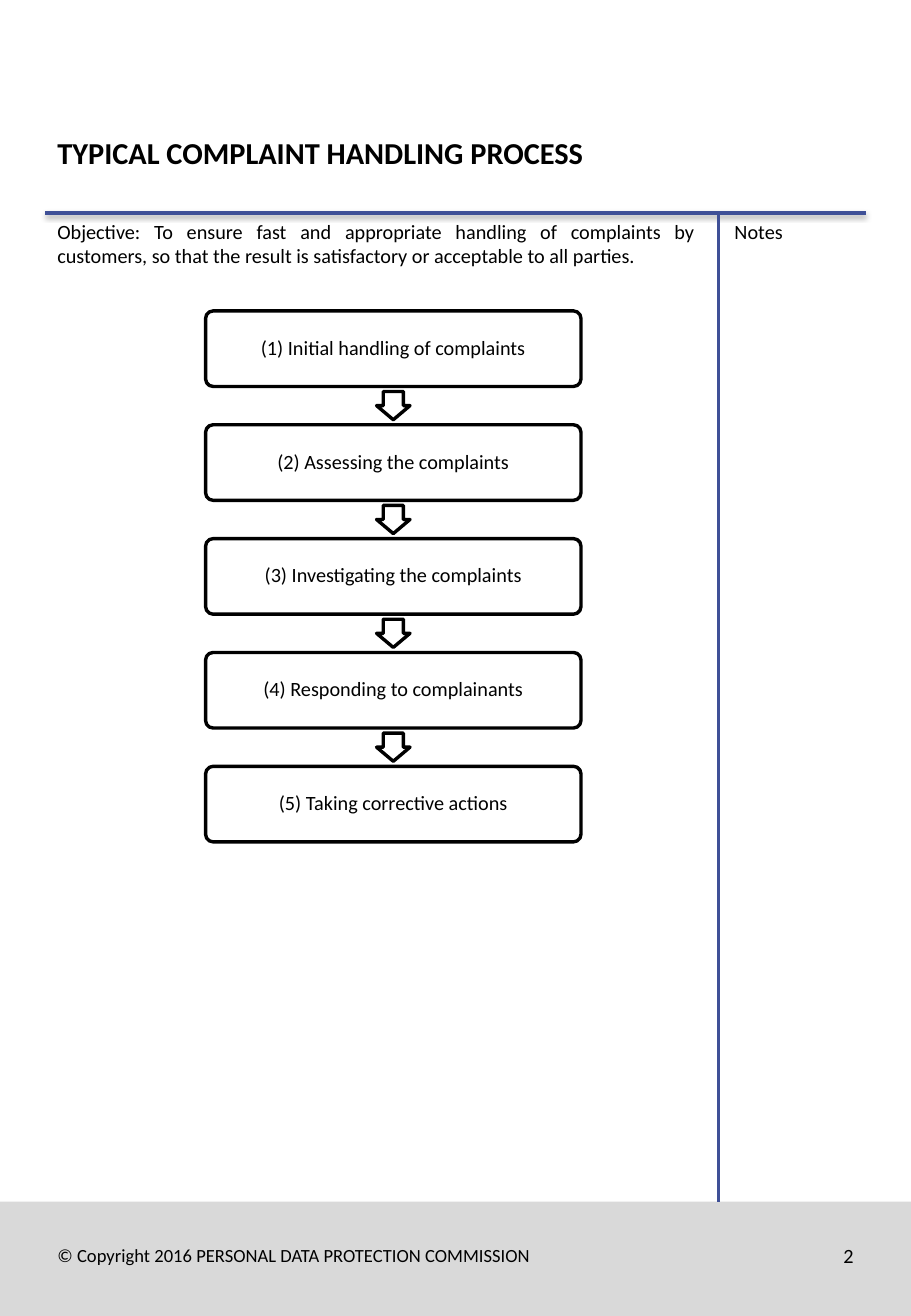
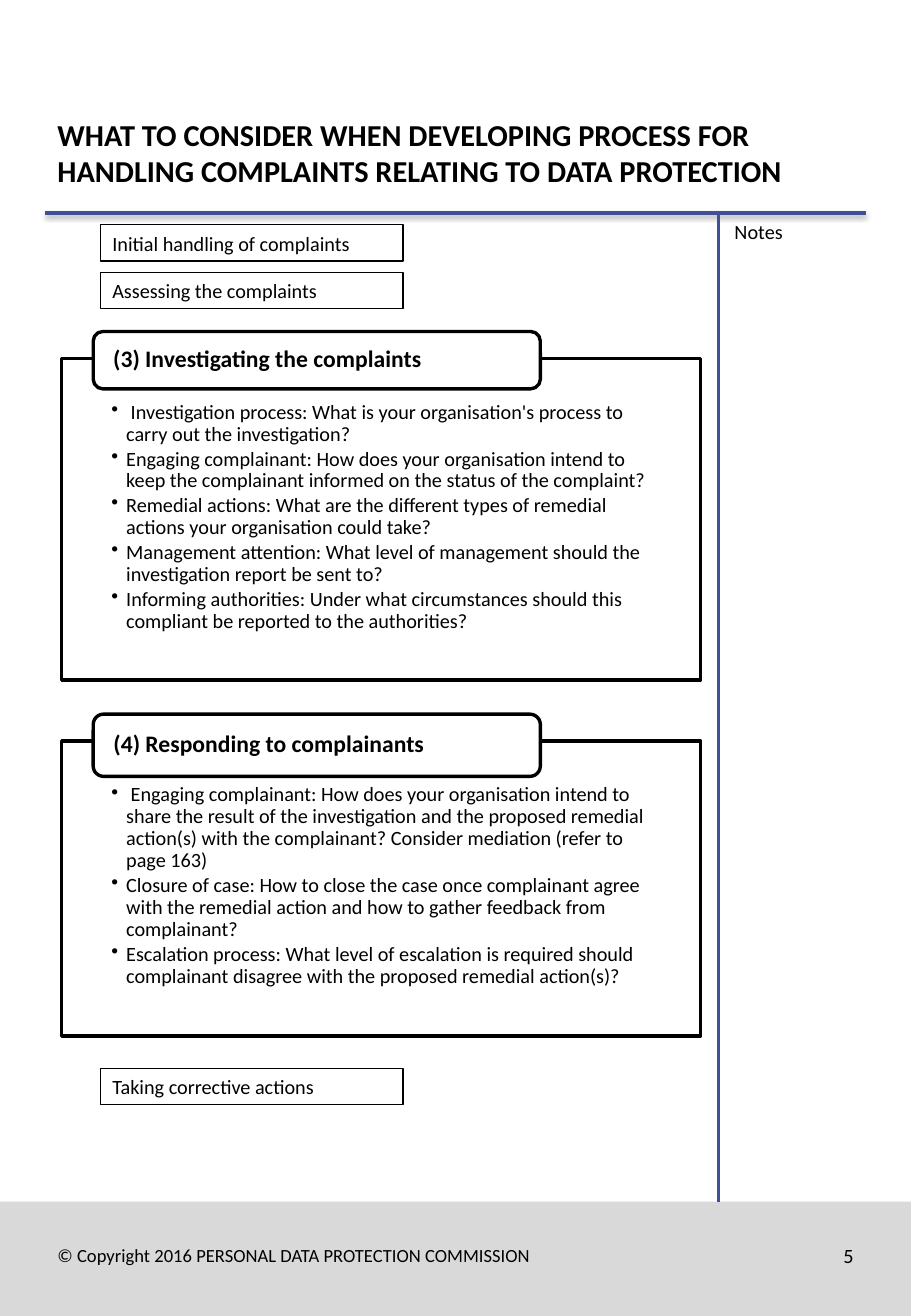
from dataclasses import dataclass

import lxml.etree
import pptx
import pptx.dml.color
import pptx.enum.shapes
import pptx.enum.text
import pptx.oxml.ns
import pptx.util

Cm, Pt = pptx.util.Cm, pptx.util.Pt
Align = pptx.enum.text.PP_ALIGN
Anchor = pptx.enum.text.MSO_ANCHOR
Preset = pptx.enum.shapes.MSO_SHAPE
qn = pptx.oxml.ns.qn


@dataclass(frozen=True)
class Theme:
    font: str = "Calibri"
    ink: str = "000000"
    paper: str = "FFFFFF"
    band: str = "D9D9D9"
    rule: str = "3F5097"
    title: float = 18
    heading: float = 14
    body: float = 12
    footer: float = 11
    thick: float = 2
    thin: float = 0.75


@dataclass(frozen=True)
class Box:
    """A region in centimetres."""
    left: float
    top: float
    width: float
    height: float

    def lengths(self):
        return [Cm(v) for v in (self.left, self.top, self.width, self.height)]


THEME = Theme()
PAGE = Box(0, 0, 19.05, 27.51)
MARGIN = 0.95
CONTENT_WIDTH = PAGE.width - 2 * MARGIN
RULE_TOP = 4.45
NOTES_LEFT = 15.03
BAND = Box(0, 25.12, PAGE.width, PAGE.height - 25.12)
STANDARD_INSETS = (0.25, 0.13, 0.25, 0.13)

STEPS = [
    "Initial handling of complaints",
    "Assessing the complaints",
    "Investigating the complaints",
    "Responding to complainants",
    "Taking corrective actions",
]
INVESTIGATING = [
    " Investigation process: What is your organisation's process to carry out the investigation?",
    "Engaging complainant: How does your organisation intend to keep the complainant informed "
    "on the status of the complaint?",
    "Remedial actions: What are the different types of remedial actions your organisation could take?",
    "Management attention: What level of management should the investigation report be sent to?",
    "Informing authorities: Under what circumstances should this compliant be reported to the authorities?",
]
RESPONDING = [
    " Engaging complainant: How does your organisation intend to share the result of the investigation "
    "and the proposed remedial action(s) with the complainant? Consider mediation (refer to page 163)",
    "Closure of case: How to close the case once complainant agree with the remedial action "
    "and how to gather feedback from complainant?",
    "Escalation process: What level of escalation is required should complainant disagree "
    "with the proposed remedial action(s)?",
]


def rgb(color):
    return pptx.dml.color.RGBColor.from_string(color)


def write(holder, lines, size=THEME.body, bold=False, align=Align.LEFT, anchor=Anchor.MIDDLE,
          insets=STANDARD_INSETS, wrap=True, spacing=None):
    """Fill a text holder with one paragraph a line and return the paragraphs."""
    frame = holder.text_frame
    frame.text = "\n".join(lines)
    frame.auto_size = pptx.enum.text.MSO_AUTO_SIZE.NONE
    frame.word_wrap = wrap
    frame.vertical_anchor = anchor
    (frame.margin_left, frame.margin_top,
     frame.margin_right, frame.margin_bottom) = [Cm(v) for v in insets]
    for paragraph in frame.paragraphs:
        paragraph.alignment = align
        paragraph.line_spacing = spacing
        font = paragraph.font
        font.name, font.size, font.bold = THEME.font, Pt(size), bold
        font.color.rgb = rgb(THEME.ink)
    return frame.paragraphs


def add_text(slide, box, line, **style):
    write(slide.shapes.add_textbox(*box.lengths()), [line], **style)


def add_outlined(slide, preset, box, weight=THEME.thick, fill=THEME.paper):
    shape = slide.shapes.add_shape(preset, *box.lengths())
    shape.shadow.inherit = False
    shape.fill.solid()
    shape.fill.fore_color.rgb = rgb(fill)
    if weight:
        shape.line.color.rgb = rgb(THEME.ink)
        shape.line.width = Pt(weight)
    else:
        shape.line.fill.background()
    return shape


def add_rule(slide, start, end, shadow=False):
    rule = slide.shapes.add_connector(
        pptx.enum.shapes.MSO_CONNECTOR.STRAIGHT, *[Cm(v) for v in start + end])
    rule.line.color.rgb = rgb(THEME.rule)
    rule.line.width = Pt(THEME.thick)
    effects = lxml.etree.SubElement(rule._element.spPr, qn("a:effectLst"))
    if shadow:
        cast = lxml.etree.SubElement(effects, qn("a:outerShdw"), blurRad="40000", dist="20000",
                                     dir="5400000", rotWithShape="0")
        tint = lxml.etree.SubElement(cast, qn("a:srgbClr"), val=THEME.ink)
        lxml.etree.SubElement(tint, qn("a:alpha"), val="38000")


def add_bullet(paragraph, indent):
    properties = paragraph._p.get_or_add_pPr()
    properties.set("marL", str(Cm(indent)))
    properties.set("indent", str(-Cm(indent)))
    bullet = lxml.etree.Element(qn("a:buChar"), char="•")
    properties.insert_element_before(bullet, "a:tabLst", "a:defRPr", "a:extLst")


def add_page(deck, title, number):
    """Title, rules, notes column and footer band that every slide has."""
    slide = deck.slides.add_slide(deck.slide_layouts[5])
    heading = slide.shapes.title
    heading.left, heading.top, heading.width, heading.height = Box(
        MARGIN, 2.29, CONTENT_WIDTH, 1.8).lengths()
    write(heading, [title], size=THEME.title, bold=True)

    # Footer band
    add_outlined(slide, Preset.RECTANGLE, BAND, weight=0, fill=THEME.band)
    footer = Box(MARGIN, BAND.top + 0.38, CONTENT_WIDTH, 1.47)
    add_text(slide, Box(footer.left, footer.top, 12, footer.height),
             "© Copyright 2016 PERSONAL DATA PROTECTION COMMISSION", size=THEME.footer)
    number_width = 4.45
    add_text(slide, Box(footer.left + footer.width - number_width, footer.top,
                        number_width, footer.height), str(number), align=Align.RIGHT)

    # Rules and notes column
    add_rule(slide, (MARGIN, RULE_TOP), (MARGIN + CONTENT_WIDTH, RULE_TOP), shadow=True)
    add_rule(slide, (NOTES_LEFT, BAND.top), (NOTES_LEFT, RULE_TOP))
    add_text(slide, Box(NOTES_LEFT + 0.08, RULE_TOP, 1.55, 0.76), "Notes",
             anchor=Anchor.TOP, wrap=False)
    return slide


def add_flow(slide, box, steps):
    """Equal step boxes down the region, with a block arrow in each gap."""
    gap, arrow_width, arrow_height = 0.8, 0.7, 0.59
    step_height = (box.height - gap * (len(steps) - 1)) / len(steps)
    for index, step in enumerate(steps):
        top = box.top + index * (step_height + gap)
        card = add_outlined(slide, Preset.ROUNDED_RECTANGLE,
                            Box(box.left, top, box.width, step_height))
        card.adjustments[0] = 0.1
        write(card, [f"({index + 1}) {step}"], align=Align.CENTER, spacing=0.9)
        if index:
            arrow = add_outlined(slide, Preset.DOWN_ARROW, Box(
                box.left + (box.width - arrow_width) / 2,
                top - (gap + arrow_height) / 2, arrow_width, arrow_height))
            arrow.adjustments[0], arrow.adjustments[1] = 0.6, 0.5


def add_tag(slide, box, step):
    tag = add_outlined(slide, Preset.RECTANGLE, box, weight=THEME.thin)
    write(tag, [step])


def add_panel(slide, box, heading, points, heading_height):
    """Framed bullet list with its heading set over the top edge."""
    frame = add_outlined(slide, Preset.RECTANGLE, box)
    for paragraph in write(frame, points, anchor=Anchor.TOP,
                           insets=(1.04, 0.91, 1.04, 0.23), spacing=0.9):
        paragraph.space_after = Pt(1.8)
        add_bullet(paragraph, 0.31)
    label = add_outlined(slide, Preset.ROUNDED_RECTANGLE, Box(
        box.left + 0.66, box.top - 0.56, 9.35, heading_height))
    write(label, [heading], size=THEME.heading, bold=True,
          insets=(0.36, 0, 0.36, 0), spacing=0.9)


def build_process(deck):
    slide = add_page(deck, "TYPICAL COMPLAINT HANDLING PROCESS", 2)
    add_text(slide, Box(MARGIN, RULE_TOP, 13.84, 1.5),
             "Objective: To ensure fast and appropriate handling of complaints by customers, "
             "so that the result is satisfactory or acceptable to all parties.",
             align=Align.JUSTIFY, anchor=Anchor.TOP)
    add_flow(slide, Box(4.3, 6.5, 7.85, 11.1), STEPS)


def build_considerations(deck):
    slide = add_page(deck, "WHAT TO CONSIDER WHEN DEVELOPING PROCESS FOR "
                           "HANDLING COMPLAINTS RELATING TO DATA PROTECTION", 5)
    # Steps outside this slide's focus
    for top, step in ((4.7, STEPS[0]), (5.69, STEPS[1]), (22.33, STEPS[4])):
        add_tag(slide, Box(2.1, top, 6.33, 0.76), step)
    # Steps in focus
    add_panel(slide, Box(1.29, 7.49, 13.36, 6.73), f"(3) {STEPS[2]}", INVESTIGATING, 1.2)
    add_panel(slide, Box(1.29, 15.49, 13.36, 6.17), f"(4) {STEPS[3]}", RESPONDING, 1.3)


def main():
    deck = pptx.Presentation()
    deck.slide_width, deck.slide_height = Cm(PAGE.width), Cm(PAGE.height)
    build_process(deck)
    build_considerations(deck)
    deck.save("out.pptx")


if __name__ == "__main__":
    main()
